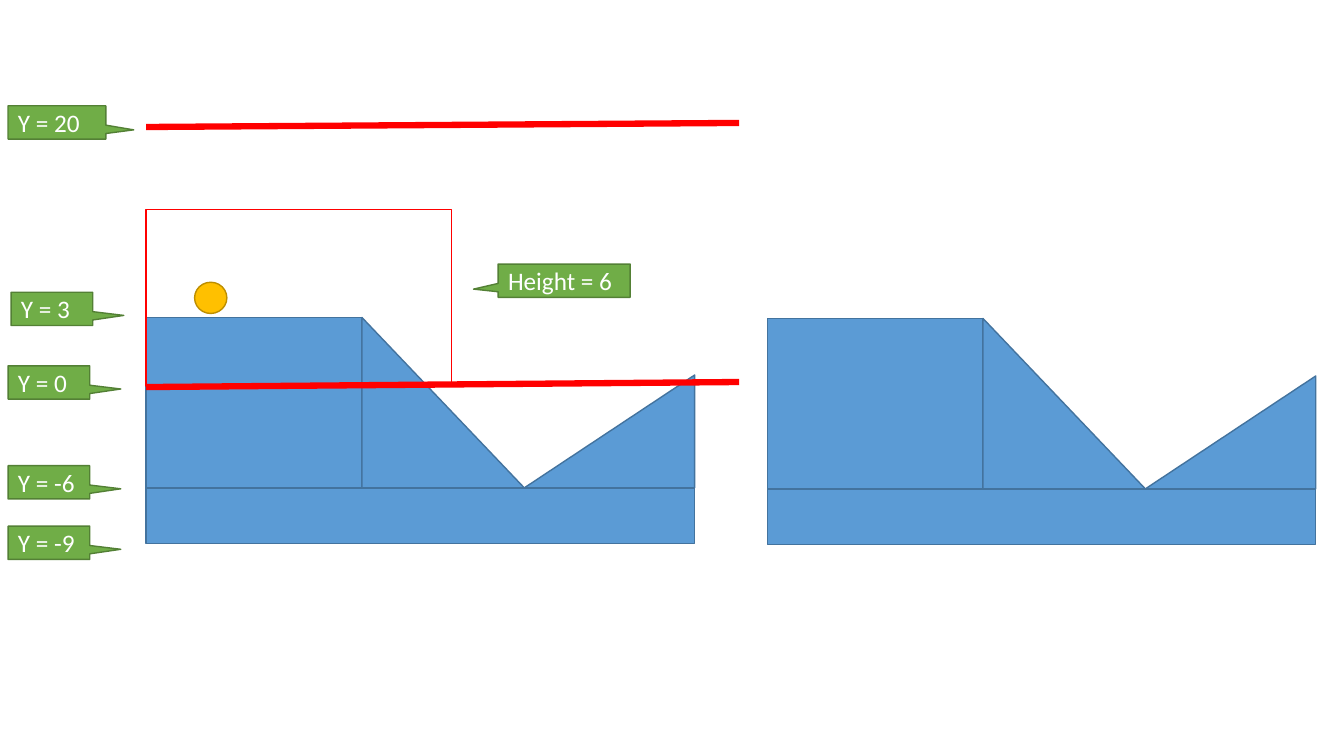
from pptx import Presentation
from pptx.util import Inches, Pt
from pptx.dml.color import RGBColor as Rgb
from pptx.enum.shapes import MSO_SHAPE as Geo, MSO_CONNECTOR as Link
from pptx.enum.text import PP_ALIGN as Align, MSO_ANCHOR as Anchor
from lxml import etree

HUES = {"ground": "5B9BD5", "edge": "43739E", "red": "FF0000",
        "ball": "FFC000", "rim": "BD8E00",
        "tag": "70AD47", "trim": "538035", "text": "FFFFFF"}

# Content: ground parts relative to the ground's corner (left, top, width, height)
PARTS = [
    (Geo.RECTANGLE, 0, 0, 2.14, 1.69, False),
    (Geo.RIGHT_TRIANGLE, 2.14, 0, 1.61, 1.69, False),
    (Geo.RIGHT_TRIANGLE, 3.75, 0.57, 1.69, 1.12, True),
    (Geo.RECTANGLE, 0, 1.69, 5.44, 0.55, False),
]
GROUNDS = [(1.45, 3.15), (7.61, 3.16)]
LEVELS = [(3.84, 3.79), (1.26, 1.22)]  # start and end heights
SPAN = (1.45, 7.33)

# Tags: text, left, top, width, pointer offset as a share of the size
TAGS = [
    ("Y = 20", 0.08, 1.05, 0.97, (0.786, 0.224)),
    ("Y = 3", 0.11, 2.9, 0.81, (0.881, 0.196)),
    ("Y = 0", 0.08, 3.63, 0.81, (0.881, 0.196)),
    ("Y = -6", 0.08, 4.62, 0.81, (0.881, 0.196)),
    ("Height = 6", 4.94, 2.62, 1.31, (-0.686, 0.253)),
    ("Y = -9", 0.08, 5.22, 0.81, (0.881, 0.196)),
]
TALL = 0.33
FONT = {"name": "Calibri", "size": Pt(18)}
FRAME = {"word_wrap": True, "vertical_anchor": Anchor.MIDDLE}

deck = Presentation()
deck.slide_width, deck.slide_height = Inches(13.33), Inches(7.5)
slide = deck.slides.add_slide(deck.slide_layouts[6])


def style(item, values):
    for key, val in values.items():
        setattr(item, key, val)


def paint(line, hue, width):
    line.color.rgb = Rgb.from_string(HUES[hue])
    line.width = Pt(width)


def draw(home, geo, box, fill, edge):
    shape = home.add_shape(geo, *map(Inches, box))
    shape.shadow.inherit = False
    if fill:
        shape.fill.solid()
        shape.fill.fore_color.rgb = Rgb.from_string(HUES[fill])
    else:
        shape.fill.background()
    paint(shape.line, edge, 1)
    return shape


def ground(left, top):
    group = slide.shapes.add_group_shape()
    for geo, x, y, w, h, flip in PARTS:
        part = draw(group.shapes, geo, (left + x, top + y, w, h), "ground", "edge")
        if flip:
            part._element.spPr.xfrm.set("flipH", "1")


def level(start, end):
    x1, x2 = SPAN
    line = slide.shapes.add_connector(Link.STRAIGHT, *map(Inches, (x1, start, x2, end)))
    paint(line.line, "red", 4.5)
    props = line._element.spPr
    etree.SubElement(props, props.tag.replace("}spPr", "}effectLst").replace(
        "presentationml", "drawingml"))


def tag(text, left, top, width, tip):
    shape = draw(slide.shapes, Geo.RECTANGULAR_CALLOUT,
                 (left, top, width, TALL), "tag", "trim")
    shape.adjustments[0], shape.adjustments[1] = tip
    style(shape.text_frame, FRAME)
    para = shape.text_frame.paragraphs[0]
    para.alignment = Align.LEFT
    run = para.add_run()
    run.text = text
    style(run.font, FONT)
    run.font.color.rgb = Rgb.from_string(HUES["text"])


# Left ground with its levels, view frame and ball
ground(*GROUNDS[0])
for ends in LEVELS:
    level(*ends)
draw(slide.shapes, Geo.RECTANGLE, (1.45, 2.08, 3.03, 1.75), None, "red")
draw(slide.shapes, Geo.OVAL, (1.93, 2.8, 0.32, 0.31), "ball", "rim")

# Right ground
ground(*GROUNDS[1])

# Height tags
for row in TAGS:
    tag(*row)

deck.save("out.pptx")
